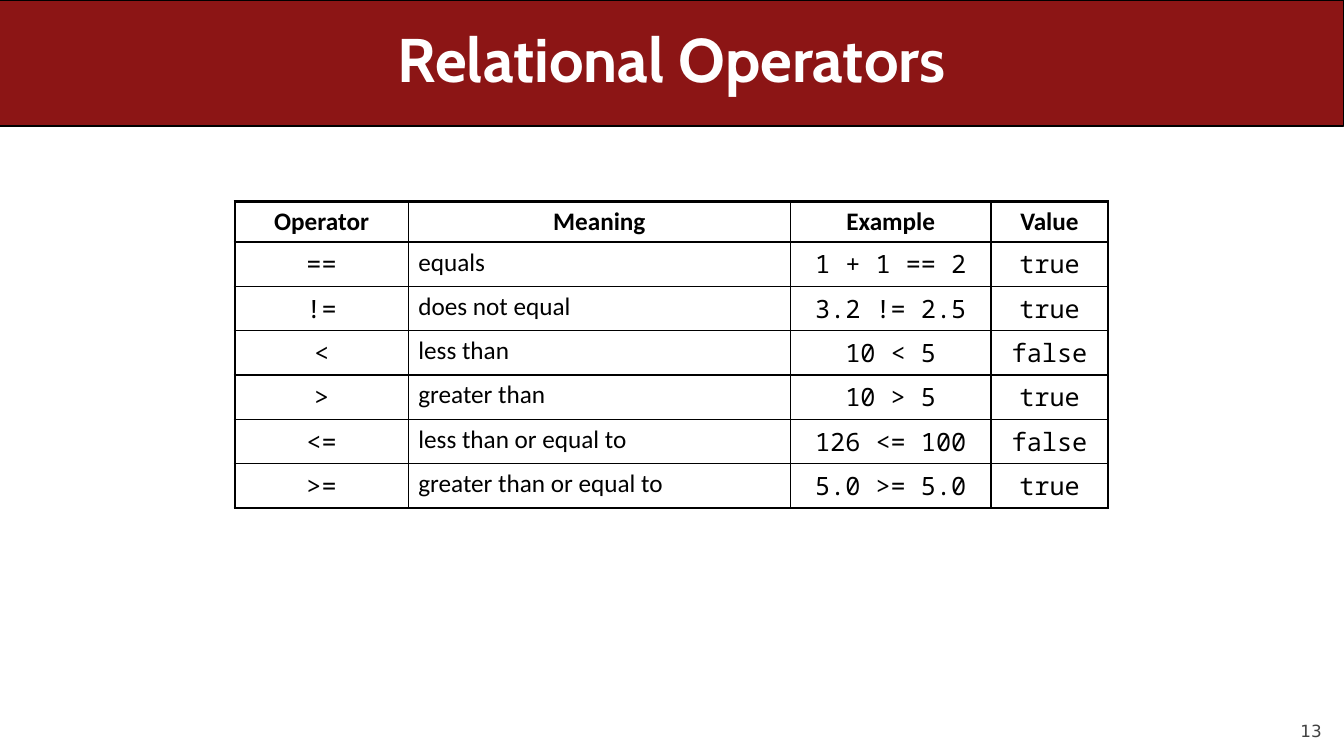
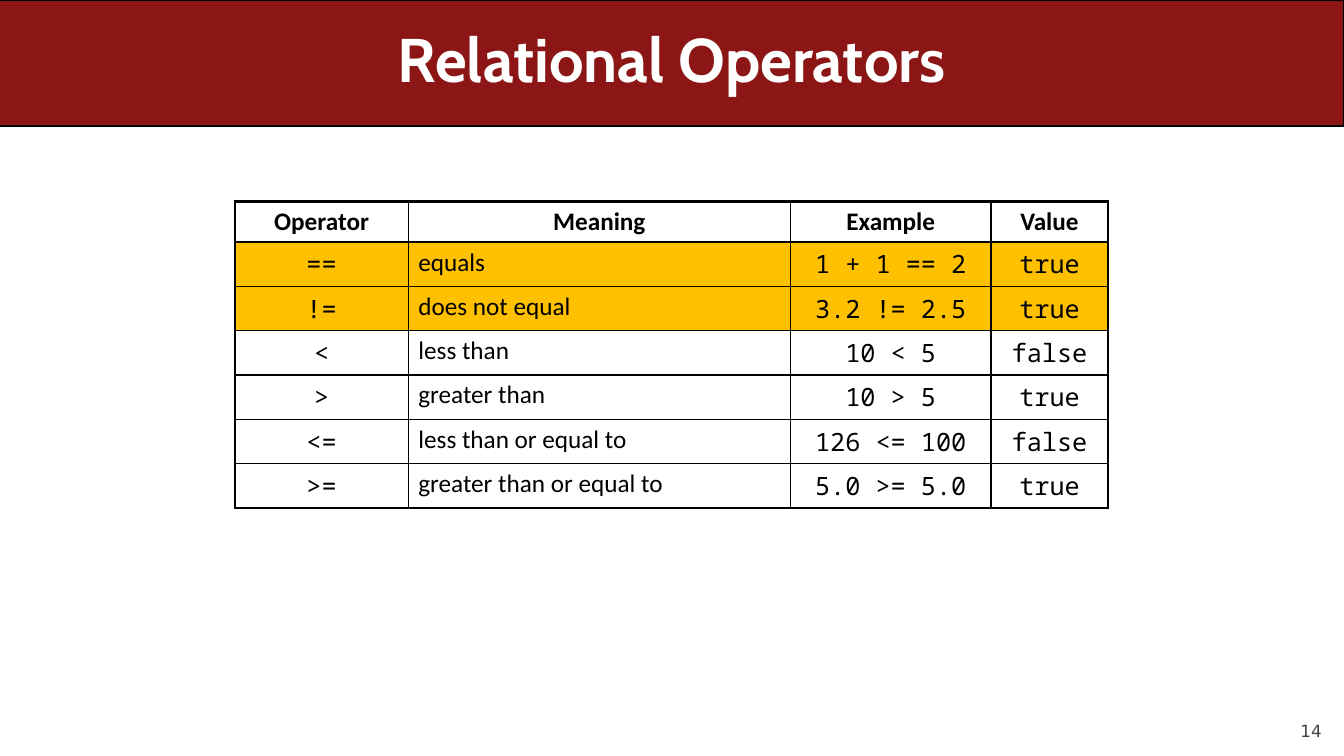
"""Build two slides on relational operators, the second with equality highlighted."""
from lxml import etree
from pptx import Presentation
from pptx.dml.color import RGBColor
from pptx.enum import shapes, text
from pptx.oxml.ns import qn
from pptx.util import Inches, Pt

COLORS = {
    "band": "8C1515",
    "ink": "000000",
    "title": "FFFFFF",
    "number": "424242",
    "highlight": "FFC000",
}
TITLE_FONT, BODY_FONT, CODE_FONT, NUMBER_FONT = (
    "Cabin", "Calibri", "Noto Sans Mono", "DejaVu Sans")
OUTER_BORDER, INNER_BORDER = 2.25, 1
COLUMN_WIDTHS = [1.72, 3.79, 1.99, 1.16]
HEADER_HEIGHT, ROW_HEIGHT = 0.4, 0.44
MEANING_COLUMN = 1
OPERATORS = [
    ("Operator", "Meaning", "Example", "Value"),
    ("==", "equals", "1 + 1 == 2", "true"),
    ("!=", "does not equal", "3.2 != 2.5", "true"),
    ("<", "less than", "10 < 5", "false"),
    (">", "greater than", "10 > 5", "true"),
    ("<=", "less than or equal to", "126 <= 100", "false"),
    (">=", "greater than or equal to", "5.0 >= 5.0", "true"),
]
SLIDES = [(13, []), (14, [1, 2])]


def add_run(paragraph, words, font, size, color, bold=False):
    run = paragraph.add_run()
    run.text = words
    run.font.name = font
    run.font.size = Pt(size)
    run.font.bold = bold
    run.font.color.rgb = RGBColor.from_string(COLORS[color])


def add_border(cell, side, width):
    properties = cell._tc.get_or_add_tcPr()
    line = etree.SubElement(properties, qn(f"a:ln{side}"), w=str(Pt(width)))
    fill = etree.SubElement(line, qn("a:solidFill"))
    etree.SubElement(fill, qn("a:srgbClr"), val=COLORS["ink"])


deck = Presentation()
deck.slide_width, deck.slide_height = Inches(13.33), Inches(7.5)

for page, highlighted_rows in SLIDES:
    slide = deck.slides.add_slide(deck.slide_layouts[5])

    band = slide.shapes.add_shape(
        shapes.MSO_SHAPE.ROUNDED_RECTANGLE, 0, 0, deck.slide_width, Inches(1.25))
    band.adjustments[0] = 0
    band.shadow.inherit = False
    band.fill.solid()
    band.fill.fore_color.rgb = RGBColor.from_string(COLORS["band"])
    band.line.color.rgb = RGBColor.from_string(COLORS["ink"])
    band.line.width = Pt(0.75)

    title = slide.shapes.title
    title.element.addprevious(band.element)
    title.left, title.top = Inches(0.5), 0
    title.width, title.height = Inches(12.33), Inches(1.25)
    title.text_frame.auto_size = text.MSO_AUTO_SIZE.NONE
    title.text_frame.vertical_anchor = text.MSO_ANCHOR.MIDDLE
    heading = title.text_frame.paragraphs[0]
    heading.alignment = text.PP_ALIGN.CENTER
    heading.line_spacing = 0.9
    add_run(heading, "Relational Operators", TITLE_FONT, 44, "title", bold=True)

    page_number = slide.shapes.add_textbox(
        Inches(12), Inches(6.95), Inches(1.11), Inches(0.4)).text_frame
    page_number.word_wrap = True
    page_number.vertical_anchor = text.MSO_ANCHOR.BOTTOM
    page_number.margin_left = page_number.margin_right = 0
    page_number.margin_top = page_number.margin_bottom = 0
    page_number.paragraphs[0].alignment = text.PP_ALIGN.RIGHT
    add_run(page_number.paragraphs[0], str(page), NUMBER_FONT, 12, "number")

    last_row, last_column = len(OPERATORS) - 1, len(COLUMN_WIDTHS) - 1
    operators = slide.shapes.add_table(
        len(OPERATORS), len(COLUMN_WIDTHS), Inches(2.33), Inches(2),
        Inches(sum(COLUMN_WIDTHS)), Inches(HEADER_HEIGHT + last_row * ROW_HEIGHT)).table
    operators.first_row = operators.horz_banding = False
    for column, width in zip(operators.columns, COLUMN_WIDTHS):
        column.width = Inches(width)

    for r, entries in enumerate(OPERATORS):
        is_header = r == 0
        operators.rows[r].height = Inches(HEADER_HEIGHT if is_header else ROW_HEIGHT)
        for c, entry in enumerate(entries):
            cell = operators.cell(r, c)
            is_meaning = c == MEANING_COLUMN
            outer_sides = {"L": c == 0, "R": c == last_column,
                           "T": is_header, "B": r == last_row}
            for side, is_outer in outer_sides.items():
                add_border(cell, side, OUTER_BORDER if is_outer else INNER_BORDER)
            if r in highlighted_rows:
                cell.fill.solid()
                cell.fill.fore_color.rgb = RGBColor.from_string(COLORS["highlight"])
            else:
                cell.fill.background()
            paragraph = cell.text_frame.paragraphs[0]
            paragraph.alignment = (
                text.PP_ALIGN.LEFT if is_meaning and not is_header else text.PP_ALIGN.CENTER)
            font = BODY_FONT if is_header or is_meaning else CODE_FONT
            add_run(paragraph, entry, font, 18, "ink", bold=is_header)

deck.save("out.pptx")
